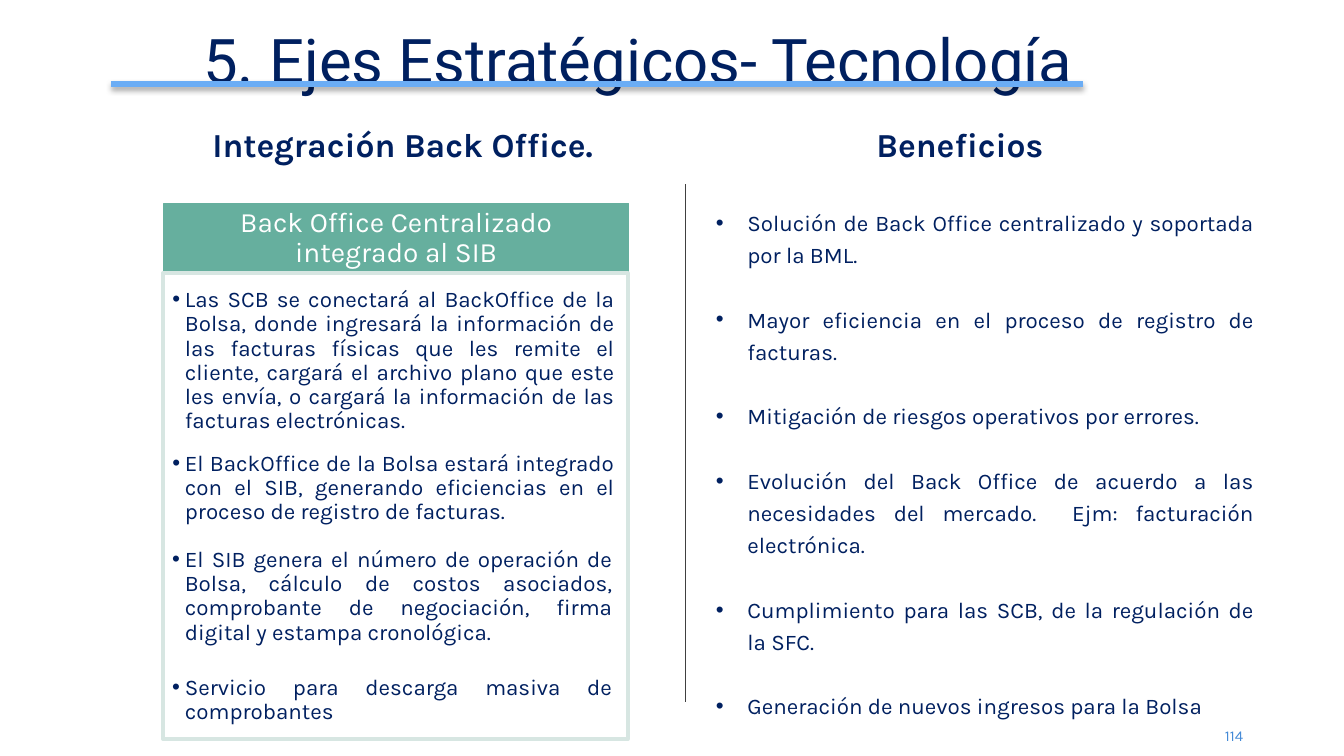
from lxml import etree
from pptx import Presentation
from pptx.dml.color import RGBColor
from pptx.enum.shapes import MSO_CONNECTOR, MSO_SHAPE
from pptx.enum.text import MSO_ANCHOR, PP_ALIGN
from pptx.oxml.ns import qn
from pptx.util import Pt

STRAIGHT, RECT = MSO_CONNECTOR.STRAIGHT, MSO_SHAPE.RECTANGLE
TOP, MIDDLE, BOTTOM = MSO_ANCHOR.TOP, MSO_ANCHOR.MIDDLE, MSO_ANCHOR.BOTTOM
CENTER, RIGHT, JUSTIFY = PP_ALIGN.CENTER, PP_ALIGN.RIGHT, PP_ALIGN.JUSTIFY
NAVY = RGBColor(0x00, 0x20, 0x60)
WHITE = RGBColor(0xFF, 0xFF, 0xFF)
GREEN = RGBColor(0x66, 0xAF, 0x9E)
PALE_GREEN = RGBColor(0xD7, 0xE6, 0xE2)
GRAY = RGBColor(0x40, 0x40, 0x40)
LIGHT_BLUE = RGBColor(0x6B, 0xAD, 0xF5)
NUMBER_BLUE = RGBColor(0x44, 0x8A, 0xD7)

CONNECTION = [
    "Las SCB se conectará al BackOffice de la Bolsa, donde ingresará la información de las facturas físicas que les remite el cliente, cargará el archivo plano que este les envía, o cargará la información de las facturas electrónicas.",
    "El BackOffice de la Bolsa estará integrado con el SIB, generando eficiencias en el proceso de registro de facturas.",
]
OPERATION = [
    "El SIB genera el número de operación de Bolsa, cálculo de costos asociados, comprobante de negociación, firma digital y estampa cronológica.",
    "Servicio para descarga masiva de comprobantes",
]
BENEFITS = [
    "Solución de Back Office centralizado y soportada por la BML.",
    "Mayor eficiencia en el proceso de registro de facturas.",
    "Mitigación de riesgos operativos por errores.",
    "Evolución del Back Office de acuerdo a las necesidades del mercado.  Ejm: facturación electrónica.",
    "Cumplimiento para las SCB, de la regulación de la SFC.",
    "Generación de nuevos ingresos para la Bolsa",
]


def write(sp, texts, size=12, color=NAVY, font="Karla", bold=False, align=JUSTIFY,
          anchor=TOP, spacing=1.0, gap=0, indent=0, insets=(0, 0, 0, 0)):
    """Write paragraphs into a shape; an indent makes them bulleted."""
    tf = sp.text_frame
    tf.word_wrap = True
    tf.vertical_anchor = anchor
    tf.margin_left, tf.margin_top, tf.margin_right, tf.margin_bottom = map(Pt, insets)
    for i, text in enumerate(texts):
        p = tf.paragraphs[0] if i == 0 else tf.add_paragraph()
        p.alignment = align
        p.line_spacing = spacing
        if i:
            p.space_before = Pt(gap)
        if indent:
            pPr = p._p.get_or_add_pPr()
            pPr.set("marL", str(Pt(indent)))
            pPr.set("indent", str(-Pt(indent)))
            etree.SubElement(pPr, qn("a:buFont")).set("typeface", "Arial")
            etree.SubElement(pPr, qn("a:buChar")).set("char", "•")
        r = p.add_run()
        r.text = text
        r.font.name, r.font.size, r.font.bold = font, Pt(size), bold
        r.font.color.rgb = color


def add_text(s, box, texts, **style):
    """Add a text box in the given box."""
    write(s.shapes.add_textbox(*map(Pt, box)), texts, **style)


def add_rect(s, box, line, width, fill=None):
    """Add a flat rectangle."""
    sp = s.shapes.add_shape(RECT, *map(Pt, box))
    sp.shadow.inherit = False
    if fill is None:
        sp.fill.background()
    else:
        sp.fill.solid()
        sp.fill.fore_color.rgb = fill
    sp.line.color.rgb = line
    sp.line.width = Pt(width)
    return sp


def add_line(s, ends, color, width, shadow=False):
    """Add a straight line, with a soft shadow below if asked."""
    line = s.shapes.add_connector(STRAIGHT, *map(Pt, ends))
    line.line.color.rgb = color
    line.line.width = Pt(width)
    effects = etree.SubElement(line._element.spPr, qn("a:effectLst"))
    if shadow:
        outer = etree.SubElement(effects, qn("a:outerShdw"), blurRad=str(Pt(3.1)),
                                 dist=str(Pt(1.8)), dir="5400000", rotWithShape="0")
        tint = etree.SubElement(outer, qn("a:srgbClr"), val="000000")
        etree.SubElement(tint, qn("a:alpha"), val="35000")


def add_heading(s, box, text):
    """Add a centred column heading."""
    add_text(s, box, [text], size=18, bold=True, align=CENTER, spacing=1.2)


def add_title(s, x, y, w, h):
    """Add the slide title and its rule."""
    add_text(s, (x, y, w, h), ["5. Ejes Estratégicos- Tecnología"], size=33,
             font="Roboto", align=RIGHT, anchor=MIDDLE, spacing=0.9,
             insets=(5, 3, 5.5, 3))
    add_line(s, (x + 24.2, y + 38, x + w, y + 38), LIGHT_BLUE, 3, shadow=True)


def add_integration(s, x, y, w):
    """Add the back office column: heading, banner and framed bullets."""
    add_heading(s, (x + 4.2, y, w - 1.5, 26), "Integración Back Office.")
    banner = add_rect(s, (x, y + 47, w, 37.5), GREEN, 0.75, GREEN)
    write(banner, ["Back Office Centralizado integrado al SIB"], size=15, color=WHITE,
          align=CENTER, anchor=MIDDLE, spacing=0.9, insets=(11.5, 6.5, 11.5, 6.5))
    add_rect(s, (x - 0.5, y + 84.3, w, 249.7), PALE_GREEN, 2)
    for top, width, height, gap, texts in ((88, w - 1.5, 86, 10, CONNECTION),
                                           (227.2, w - 2.6, 78, 16.5, OPERATION)):
        add_text(s, (x, y + top, width, height), texts, spacing=0.9, gap=gap,
                 indent=6.75, insets=(4.5, 4.5, 6, 6.5))


def add_benefits(s, x, y, w):
    """Add the benefits column with its divider."""
    add_heading(s, (x, y, 295.5, 26), "Beneficios")
    add_line(s, (x + 0.7, y + 36.7, x + 0.7, y + 314), GRAY, 0.5)
    add_text(s, (x + 17, y + 47.2, w - 17, 290), BENEFITS, spacing=1.2,
             gap=17.25, indent=16.9)


def main():
    """Build the slide and save it."""
    prs = Presentation()
    prs.slide_width, prs.slide_height = Pt(720), Pt(405)
    s = prs.slides.add_slide(prs.slide_layouts[6])
    add_text(s, (643, 389.3, 23, 9.4), ["114"], size=8, color=NUMBER_BLUE,
             align=RIGHT, anchor=BOTTOM)
    add_integration(s, 87.8, 62, 249)
    add_benefits(s, 366.5, 62, 305.3)
    add_title(s, 35.3, 7, 545, 54)
    prs.save("out.pptx")


if __name__ == "__main__":
    main()
